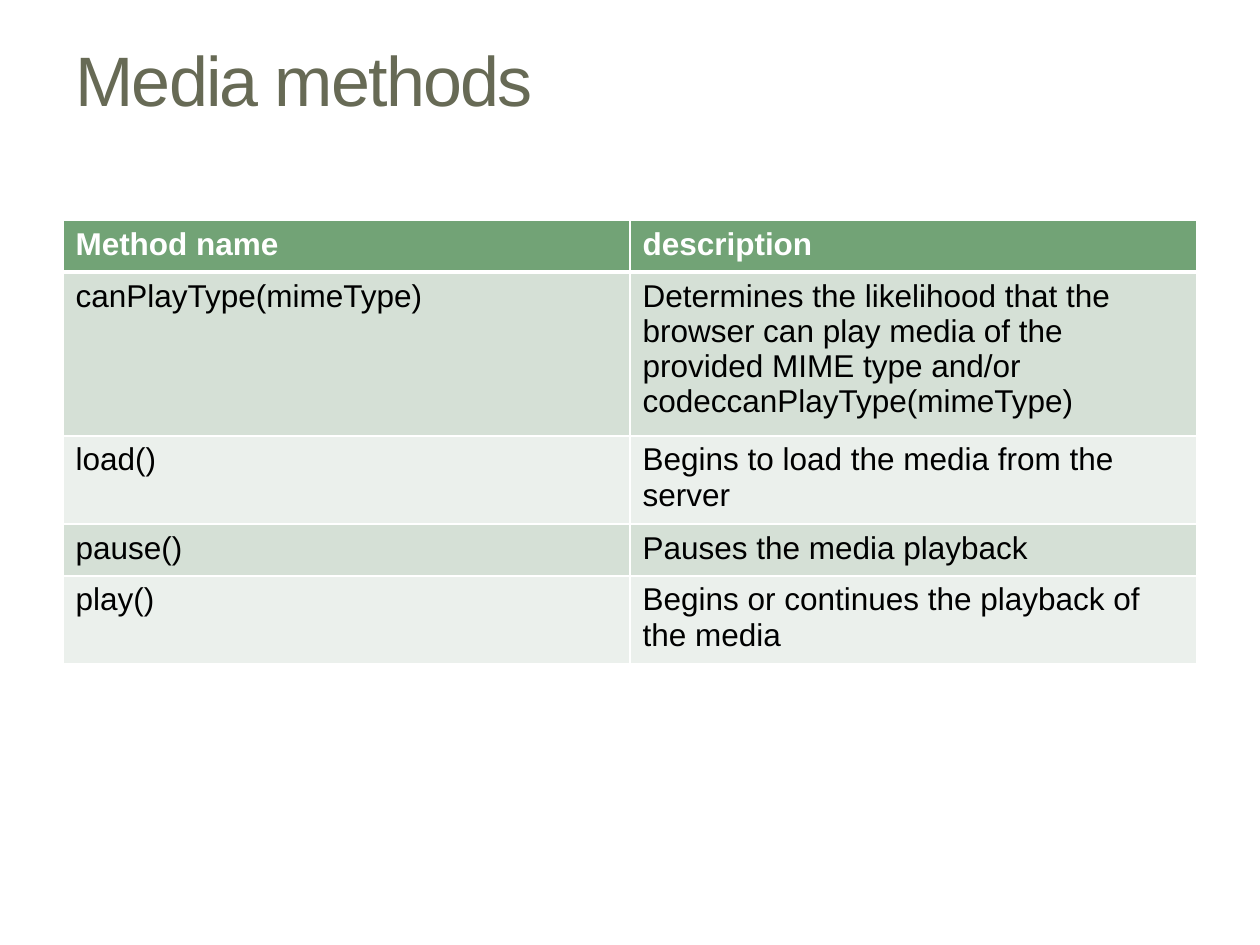
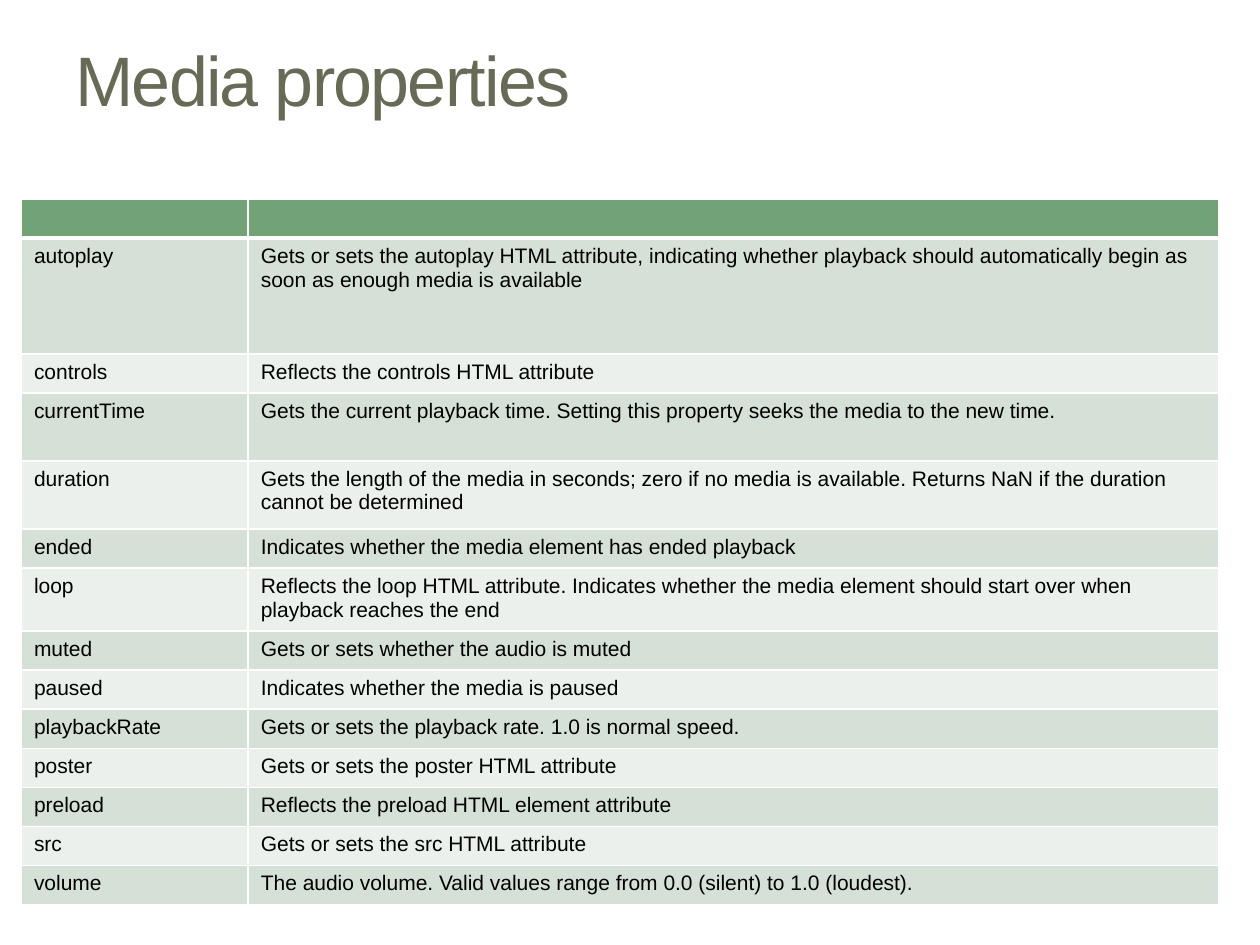
from dataclasses import dataclass

from lxml.etree import SubElement
from pptx import Presentation
from pptx.dml.color import RGBColor
from pptx.enum.text import MSO_ANCHOR as Anchor
from pptx.oxml.ns import qn
from pptx.slide import Slide
from pptx.table import _Cell as Cell
from pptx.text.text import TextFrame as Frame
from pptx.util import Inches, Pt

FONT = "Arial"
OLIVE = RGBColor(0x67, 0x6A, 0x55)
GREEN = RGBColor(0x72, 0xA3, 0x76)
SAGE = RGBColor(0xD5, 0xE0, 0xD6)
MIST = RGBColor(0xEB, 0xF0, 0xEC)
WHITE = RGBColor(0xFF, 0xFF, 0xFF)
BLACK = RGBColor(0, 0, 0)


@dataclass
class Row:
    name: str
    note: str
    height: float


@dataclass
class Page:
    title: str
    left: float
    top: float
    widths: tuple[float, float]
    size: float
    rows: list[Row]


PAGES = [
    Page("Media methods", 0.5, 1.75, (4.5, 4.5), 18, [
        Row("Method name", "description", 0.41),
        Row("canPlayType(mimeType)",
            "Determines the likelihood that the browser can play media of the\n"
            "provided MIME type and/or codeccanPlayType(mimeType)", 1.22),
        Row("load()", "Begins to load the media from the server", 0.66),
        Row("pause()", "Pauses the media playback", 0.41),
        Row("play()", "Begins or continues the playback of the media", 0.66),
    ]),
    Page("Media properties", 0.17, 1.58, (1.8, 7.7), 12, [
        Row("", "", 0.31),
        Row("autoplay",
            "Gets or sets the autoplay HTML attribute, indicating whether playback "
            "should automatically begin as soon as enough media is available", 0.92),
        Row("controls", "Reflects the controls HTML attribute", 0.31),
        Row("currentTime",
            "Gets the current playback time. Setting this property seeks the media "
            "to the new time.", 0.54),
        Row("duration",
            "Gets the length of the media in seconds; zero if no media is available. "
            "Returns NaN if the duration cannot be determined", 0.54),
        Row("ended", "Indicates whether the media element has ended playback", 0.31),
        Row("loop",
            "Reflects the loop HTML attribute. Indicates whether the media element "
            "should start over when playback reaches the end", 0.47),
        Row("muted", "Gets or sets whether the audio is muted", 0.31),
        Row("paused", "Indicates whether the media is paused", 0.31),
        Row("playbackRate", "Gets or sets the playback rate. 1.0 is normal speed.", 0.31),
        Row("poster", "Gets or sets the poster HTML attribute", 0.31),
        Row("preload", "Reflects the preload HTML element attribute", 0.31),
        Row("src", "Gets or sets the src HTML attribute", 0.31),
        Row("volume",
            "The audio volume. Valid values range from 0.0 (silent) to 1.0 (loudest).",
            0.31),
    ]),
]


def write(frame: Frame, text: str, *, size: float, color: RGBColor,
          bold: bool = False, track: float = 0) -> None:
    """Fill a frame, one paragraph per line; track is letter spacing in points."""
    frame.text = text
    for para in frame.paragraphs:
        for run in para.runs:
            font = run.font
            font.name, font.size, font.bold = FONT, Pt(size), bold
            font.color.rgb = color
            if track:
                run._r.get_or_add_rPr().set("spc", str(round(track * 100)))
        if not para.runs:
            SubElement(para._p, qn("a:endParaRPr"), sz=str(round(size * 100)))


def edge(cell: Cell, side: str, width: float) -> None:
    """Draw a white border; side is L, R, T or B."""
    props = cell._tc.get_or_add_tcPr()
    line = SubElement(props, qn(f"a:ln{side}"), w=str(Pt(width)))
    fill = SubElement(line, qn("a:solidFill"))
    SubElement(fill, qn("a:srgbClr"), val=str(WHITE))


def add_title(slide: Slide, text: str) -> None:
    box = slide.shapes.add_textbox(Inches(0.5), Inches(0.08), Inches(9), Inches(1.08))
    frame = box.text_frame
    frame.word_wrap = True
    frame.vertical_anchor = Anchor.MIDDLE
    write(frame, text, size=40, color=OLIVE, track=-1)


def add_grid(slide: Slide, page: Page) -> None:
    """Add the table: a green header, then rows in alternating tints."""
    height = sum(row.height for row in page.rows)
    grid = slide.shapes.add_table(
        len(page.rows), len(page.widths), Inches(page.left), Inches(page.top),
        Inches(sum(page.widths)), Inches(height)).table
    for col, width in zip(grid.columns, page.widths):
        col.width = Inches(width)
    for i, row in enumerate(page.rows):
        grid.rows[i].height = Inches(row.height)
        head = i == 0
        tint = GREEN if head else SAGE if i % 2 else MIST
        for j, text in enumerate((row.name, row.note)):
            cell = grid.cell(i, j)
            for side in "LRTB":
                thick = (head and side == "B") or (i == 1 and side == "T")
                edge(cell, side, 3 if thick else 1)
            cell.fill.solid()
            cell.fill.fore_color.rgb = tint
            write(cell.text_frame, text, size=page.size,
                  color=WHITE if head else BLACK, bold=head)


def main() -> None:
    deck = Presentation()
    deck.slide_width, deck.slide_height = Inches(10), Inches(7.5)
    for page in PAGES:
        slide = deck.slides.add_slide(deck.slide_layouts[6])
        add_title(slide, page.title)
        add_grid(slide, page)
    deck.save("out.pptx")


if __name__ == "__main__":
    main()
